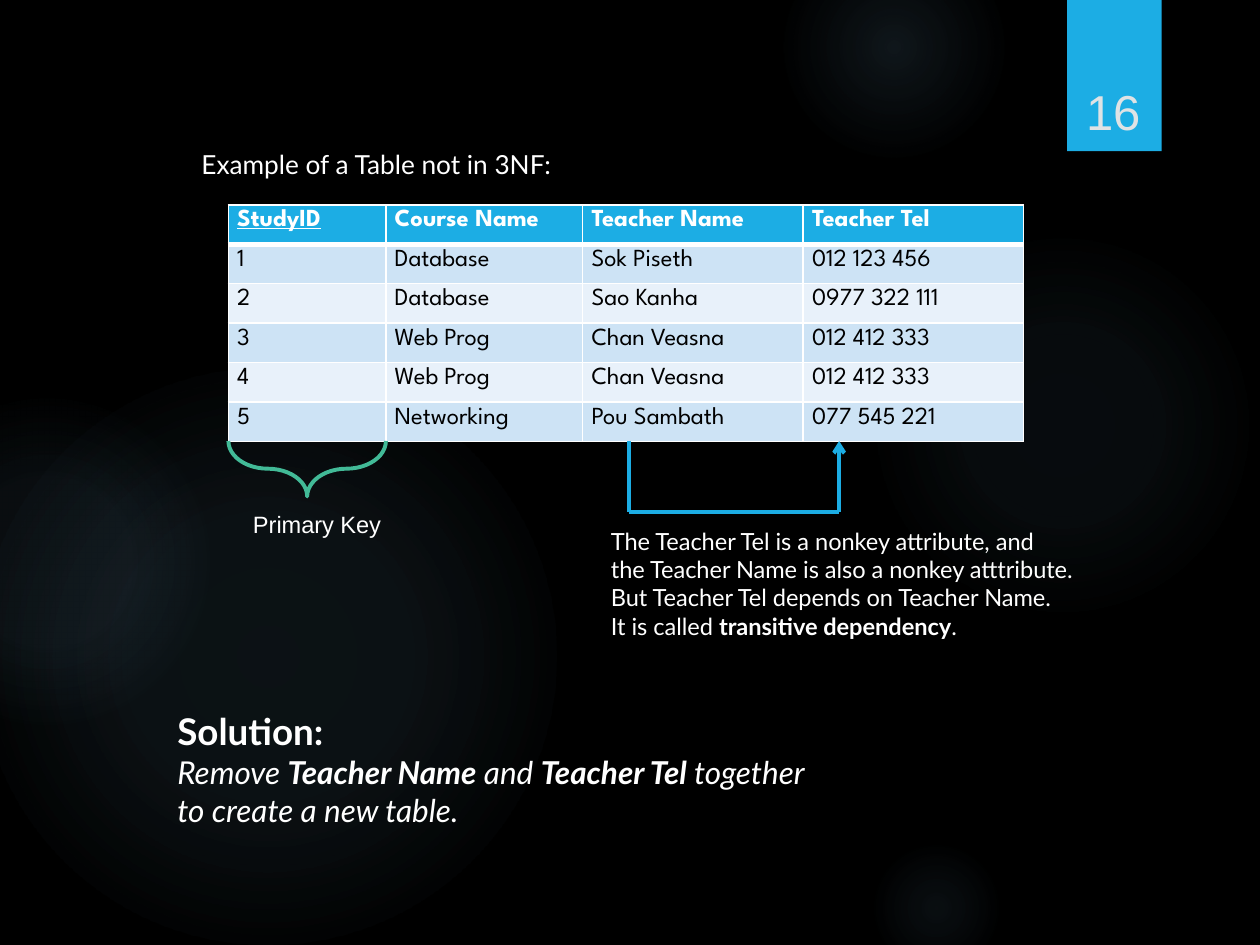
from pptx import Presentation
from pptx.dml.color import RGBColor
from pptx.enum.shapes import MSO_CONNECTOR, MSO_SHAPE
from pptx.enum.text import MSO_ANCHOR, PP_ALIGN
from pptx.oxml import parse_xml
from pptx.oxml.ns import nsdecls
from pptx.util import Inches, Pt

COLS, ROWS = 40, 30
WIDE, HIGH = Inches(10), Inches(7.5)
BLUE, GREEN, WHITE, BLACK = "1CADE4", "42BA97", "FFFFFF", "000000"
BANDS = ["E8F1FA", "CDE3F5"]
SPANS = [5, 6.25, 7, 7]
DATA = [
    ["StudyID", "Course Name", "Teacher Name", "Teacher Tel"],
    ["1", "Database", "Sok Piseth", "012 123 456"],
    ["2", "Database", "Sao Kanha", "0977 322 111"],
    ["3", "Web Prog", "Chan Veasna", "012 412 333"],
    ["4", "Web Prog", "Chan Veasna", "012 412 333"],
    ["5", "Networking", "Pou Sambath", "077 545 221"],
]
GLOWS = [
    ((27.56, 7.33, 12.33), (7, 6), 69),
    ((24.88, -2, 7), (14, 7), 73),
    ((27.56, 26.67, 4.33), (9, 5), 66),
    ((-0.67, 11.67, 18.33), (11, 10), 75),
    ((-3.67, 12.67, 10.33), (8, 8), 72),
]


def tint(code):
    """Turn a hex string into a colour."""
    return RGBColor.from_string(code)


def grid(*cells):
    """Turn alternating columns and rows of the grid into lengths."""
    units = (WIDE / COLS, HIGH / ROWS)
    return [int(cell * units[i % 2]) for i, cell in enumerate(cells)]


def write(para, text, size, font="Lato", color=WHITE, bold=False, slant=False, under=False):
    """Add one run, with line breaks where the text has them."""
    for i, part in enumerate(text.split("\n")):
        if i:
            para.add_line_break()
        run = para.add_run()
        run.text = part
        face = run.font
        face.size, face.name = Pt(size), font
        face.bold, face.italic, face.underline = bold, slant, under
        face.color.rgb = tint(color)


def label(slide, box, paras, wrap=False):
    """Place a text box whose paragraphs are lists of (text, style) runs."""
    frame = slide.shapes.add_textbox(*grid(*box)).text_frame
    frame.word_wrap = wrap
    for i, runs in enumerate(paras):
        para = frame.add_paragraph() if i else frame.paragraphs[0]
        for text, style in runs:
            write(para, text, **style)
    return frame


def shape(slide, kind, box):
    """Add a preset shape without a shadow."""
    item = slide.shapes.add_shape(kind, *grid(*box))
    item.shadow.inherit = False
    return item


def glow(slide, box, alphas, edge):
    """Place a soft round light that fades out at the edge."""
    left, top, size = box
    disc = shape(slide, MSO_SHAPE.OVAL, (left, top, size, size))
    stops = "".join(
        f'<a:gs pos="{pos * 1000}"><a:srgbClr val="70A1C0">'
        f'<a:alpha val="{alpha * 1000}"/></a:srgbClr></a:gs>'
        for pos, alpha in zip((0, 36, edge), (*alphas, 0))
    )
    fade = parse_xml(
        f'<a:gradFill {nsdecls("a")}><a:gsLst>{stops}</a:gsLst><a:path path="circle">'
        '<a:fillToRect l="50000" t="50000" r="50000" b="50000"/></a:path></a:gradFill>'
    )
    disc.element.spPr.insert(2, fade)
    disc.line.fill.background()


def badge(slide, box, text):
    """Place the page tab and its number."""
    left, top, wide, high = box
    tab = shape(slide, MSO_SHAPE.RECTANGLE, box)
    tab.fill.solid()
    tab.fill.fore_color.rgb = tint(BLUE)
    tab.line.fill.background()
    style = dict(size=28, font="Arial", color="DFE3E5")
    area = (left + 0.08, top + 1.28, wide - 0.24, high - 1.44)
    frame = label(slide, area, [[(text, style)]], True)
    frame.vertical_anchor = MSO_ANCHOR.BOTTOM
    frame.paragraphs[0].alignment = PP_ALIGN.CENTER


def border(cell, row):
    """Draw white cell borders, thick between head and body."""
    thick = {(0, "B"), (1, "T")}
    props = cell._tc.get_or_add_tcPr()
    for side in "LRTB":
        width = Pt(3 if (row, side) in thick else 1)
        props.append(parse_xml(
            f'<a:ln{side} {nsdecls("a")} w="{width}"><a:solidFill>'
            f'<a:srgbClr val="{WHITE}"/></a:solidFill></a:ln{side}>'
        ))


def table(slide, box):
    """Place the table of courses and teachers."""
    body = slide.shapes.add_table(len(DATA), len(SPANS), *grid(*box)).table
    for col, span in zip(body.columns, SPANS):
        col.width = grid(span)[0]
    for r, row in enumerate(DATA):
        body.rows[r].height = grid(0, box[3] / len(DATA))[1]
        for c, text in enumerate(row):
            cell, head = body.cell(r, c), r == 0
            cell.margin_left = cell.margin_right = Inches(0.07)
            cell.margin_top = cell.margin_bottom = Inches(0.04)
            border(cell, r)
            cell.fill.solid()
            cell.fill.fore_color.rgb = tint(BLUE if head else BANDS[r % 2])
            write(cell.text_frame.paragraphs[0], text, 14, "League Spartan",
                  WHITE if head else BLACK, bold=head, under=head and c == 0)


def brace(slide, box):
    """Place a brace that opens upwards and fills the box."""
    left, top, wide, high = box
    shift = (wide - high) / 2
    item = shape(slide, MSO_SHAPE.RIGHT_BRACE, (left + shift, top - shift, high, wide))
    item.rotation = 90
    item.adjustments[0], item.adjustments[1] = 0.865, 0.5
    item.fill.background()
    item.line.color.rgb = tint(GREEN)
    item.line.width = Pt(2.25)


def link(slide, box):
    """Draw a bent arrow along the left, lower and right sides of the box."""
    left, top, wide, high = box
    right, low = left + wide, top + high
    spots = [(right, top), (right, low), (left, low), (left, top)]
    group = slide.shapes.add_group_shape()
    for i, (start, end) in enumerate(zip(spots, spots[1:])):
        line = group.shapes.add_connector(MSO_CONNECTOR.STRAIGHT, *grid(*start, *end))
        line.line.color.rgb = tint(BLUE)
        line.line.width = Pt(2.25)
        if i == 0:
            line.line._get_or_add_ln().append(
                parse_xml(f'<a:headEnd {nsdecls("a")} type="arrow"/>'))
        line._element.spPr.append(parse_xml(f'<a:effectLst {nsdecls("a")}/>'))


def build():
    """Build the slide and save it."""
    deck = Presentation()
    deck.slide_width, deck.slide_height = WIDE, HIGH
    slide = deck.slides.add_slide(deck.slide_layouts[6])
    slide.background.fill.solid()
    slide.background.fill.fore_color.rgb = tint(BLACK)
    for light in GLOWS:
        glow(slide, *light)
    badge(slide, (33.88, 0, 3, 4.8), "16")
    label(slide, (6, 4.52, 12.36, 1.4), [[("Example of a Table not in 3NF:", dict(size=15))]])
    table(slide, (7.25, 6.5, sum(SPANS), 7.5))
    brace(slide, (7.25, 14, SPANS[0], 1.76))
    label(slide, (7.64, 16, 4.92, 1.32), [[("Primary Key", dict(size=13.5, font="Arial"))]])
    link(slide, (19.96, 14, 6.68, 2.24))
    note, strong = dict(size=13.5), dict(size=13.5, bold=True)
    label(slide, (19, 16.52, 16.44, 4.04), [
        [("The Teacher Tel is a nonkey attribute, and\n"
          "the Teacher Name is also a nonkey atttribute.", note)],
        [("But Teacher Tel depends on Teacher Name.", note)],
        [("It is called ", note), ("transitive dependency", strong), (".", note)],
    ])
    plain = dict(size=18, slant=True)
    key = dict(plain, bold=True)
    label(slide, (5.24, 22.32, 27.76, 4.24), [
        [("Solution:", dict(size=21, bold=True))],
        [("Remove ", plain), ("Teacher Name", key), (" and ", plain),
         ("Teacher Tel", key), (" together \nto create a new table.", plain)],
    ], True)
    deck.save("out.pptx")


if __name__ == "__main__":
    build()
